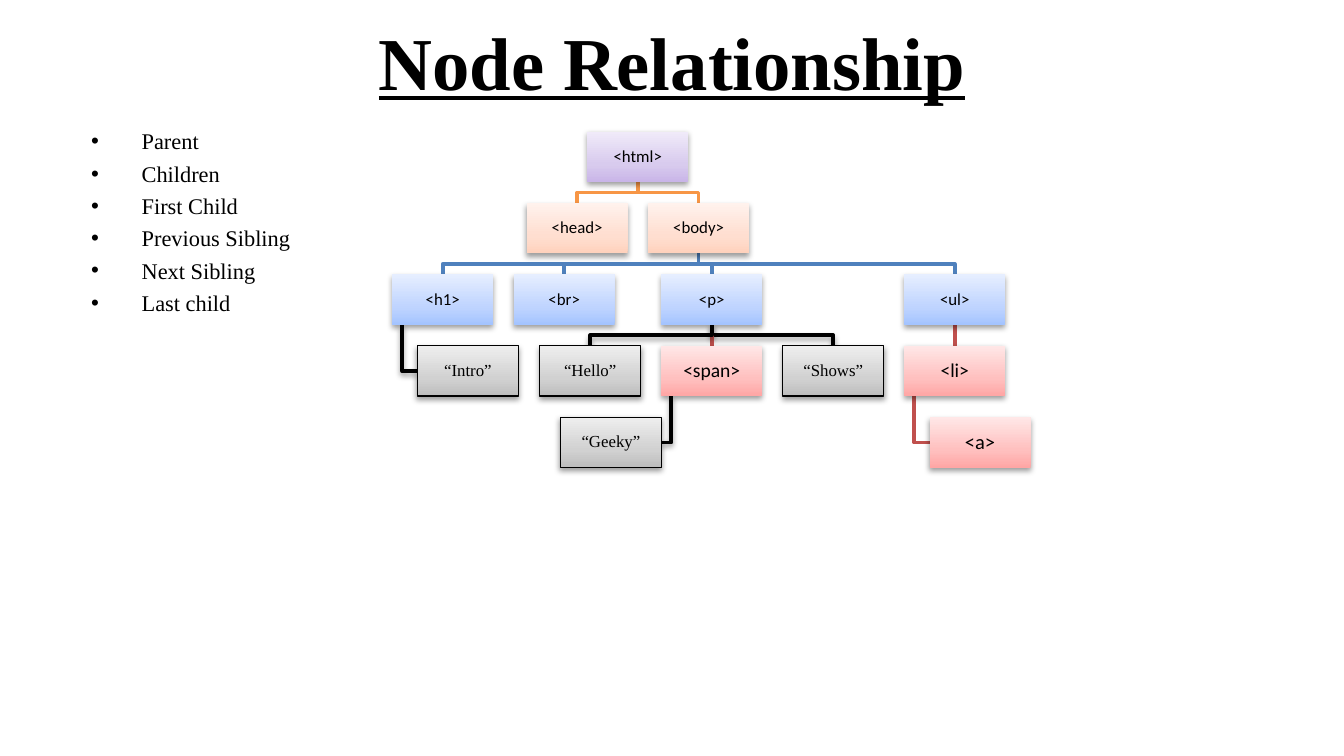
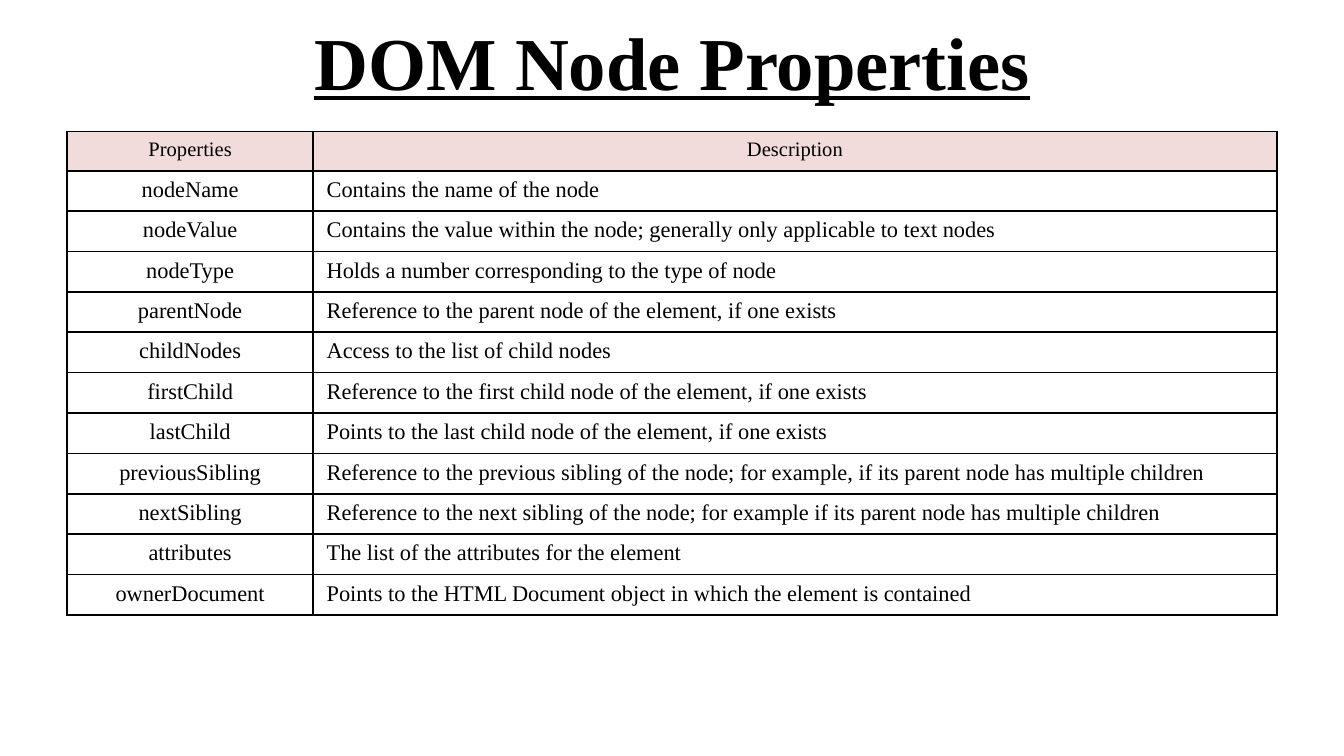
from pptx import Presentation
from pptx.dml.color import RGBColor
from pptx.enum.shapes import MSO_CONNECTOR, MSO_SHAPE
from pptx.enum.text import MSO_ANCHOR, PP_ALIGN
from pptx.oxml import parse_xml
from pptx.oxml.ns import nsdecls, qn
from pptx.util import Pt
from lxml.etree import SubElement

HUES = {
    "ink": "000000", "head": "F2DCDB",
    "orange": "F79646", "blue": "4F81BD", "red": "C0504D",
}
FADES = {
    "root": ("C9B5E8", "D8CBEE", "F0EAF9"),
    "orange": ("FFD2BD", "FFDED0", "FFF2ED"),
    "blue": ("A4C4FF", "BFD4FF", "E6EEFF"),
    "red": ("FFA6A5", "FFC0BF", "FFE7E7"),
    "ink": ("BDBDBD", "D1D1D1", "EEEEEE"),
}
SERIF, SANS = "Times New Roman", "Calibri"
WIDE, TALL, TOP, STEP = 54.1, 27, 70.5, 38.25
INSET = 5.4

TERMS = ["Parent", "Children", "First Child", "Previous Sibling",
         "Next Sibling", "Last child"]

# name: left, level, hue, font size, parent, link style
NODES = {
    "<html>": (314.6, 0, "root", 9, None, None),
    "<head>": (282.1, 1, "orange", 9, "<html>", "fork"),
    "<body>": (347.2, 1, "orange", 9, "<html>", "fork"),
    "<h1>": (210.1, 2, "blue", 9, "<body>", "fork"),
    "“Intro”": (223.6, 3, "ink", 9, "<h1>", "hang"),
    "<br>": (275.2, 2, "blue", 9, "<body>", "fork"),
    "<p>": (354.2, 2, "blue", 9, "<body>", "fork"),
    "“Hello”": (289.1, 3, "ink", 9, "<p>", "fork"),
    "<span>": (354.2, 3, "red", 10.5, "<p>", "drop"),
    "“Geeky”": (300.2, 4, "ink", 9, "<span>", "hang"),
    "“Shows”": (419.3, 3, "ink", 9, "<p>", "fork"),
    "<ul>": (484.4, 2, "blue", 9, "<body>", "fork"),
    "<li>": (484.4, 3, "red", 10.5, "<ul>", "drop"),
    "<a>": (498, 4, "red", 11, "<li>", "hang"),
}

ROWS = [
    ("Properties", "Description"),
    ("nodeName", "Contains the name of the node"),
    ("nodeValue", "Contains the value within the node; generally only applicable to text nodes"),
    ("nodeType", "Holds a number corresponding to the type of node"),
    ("parentNode", "Reference to the parent node of the element, if one exists"),
    ("childNodes", "Access to the list of child nodes"),
    ("firstChild", "Reference to the first child node of the element, if one exists"),
    ("lastChild", "Points to the last child node of the element, if one exists"),
    ("previousSibling", "Reference to the previous sibling of the node; for example, "
                        "if its parent node has multiple children"),
    ("nextSibling", "Reference to the next sibling of the node; for example "
                    "if its parent node has multiple children"),
    ("attributes", "The list of the attributes for the element"),
    ("ownerDocument", "Points to the HTML Document object in which the element is contained"),
]


def tint(name):
    """Return the named colour."""
    return RGBColor.from_string(HUES[name])


def style(para, size, face=SERIF, align=PP_ALIGN.LEFT, strong=False):
    """Format a paragraph and its runs."""
    para.alignment = align
    for run in para.runs:
        font = run.font
        font.name, font.size = face, Pt(size)
        font.bold = font.underline = strong
        font.color.rgb = tint("ink")


def add_text(slide, left, top, width, height, text):
    """Add a wrapped text box and return its frame."""
    frame = slide.shapes.add_textbox(Pt(left), Pt(top), Pt(width), Pt(height)).text_frame
    frame.word_wrap = True
    frame.text = text
    return frame


def add_title(slide, text):
    """Add the underlined slide title."""
    frame = add_text(slide, 36, -1.5, 648, 67.7, text)
    frame.vertical_anchor = MSO_ANCHOR.MIDDLE
    style(frame.paragraphs[0], 40, align=PP_ALIGN.CENTER, strong=True)


def add_list(slide, terms):
    """Add the bulleted list of terms."""
    frame = add_text(slide, 41.8, 64.8, 144, 120, "\n".join(terms))
    for para in frame.paragraphs:
        style(para, 12)
        para.space_before = Pt(2.9)
        props = para._p.get_or_add_pPr()
        props.set("marL", str(Pt(27)))
        props.set("indent", str(Pt(-27)))
        SubElement(props, qn("a:buFont"), typeface="Arial")
        SubElement(props, qn("a:buChar"), char="•")


def cast(shape):
    """Give a shape a soft shadow below it."""
    shape.shadow.inherit = False
    shape.element.spPr.find(qn("a:effectLst")).append(parse_xml(
        f'<a:outerShdw {nsdecls("a")} blurRad="{Pt(3.1)}" dist="{Pt(1.6)}" dir="5400000" '
        f'rotWithShape="0"><a:srgbClr val="{HUES["ink"]}"><a:alpha val="38000"/>'
        '</a:srgbClr></a:outerShdw>'))


def fade(shape, stops):
    """Fill a shape with a gradient rising from its foot."""
    marks = "".join(f'<a:gs pos="{pos}"><a:srgbClr val="{hue}"/></a:gs>'
                    for pos, hue in zip((0, 35000, 100000), stops))
    shape.element.spPr.find(qn("a:prstGeom")).addnext(parse_xml(
        f'<a:gradFill {nsdecls("a")} rotWithShape="1"><a:gsLst>{marks}</a:gsLst>'
        '<a:lin ang="16200000" scaled="0"/></a:gradFill>'))


def add_node(slide, name):
    """Add one box of the tree."""
    left, level, hue, size = NODES[name][:4]
    box = slide.shapes.add_shape(MSO_SHAPE.RECTANGLE, Pt(left), Pt(TOP + level * STEP),
                                 Pt(WIDE), Pt(TALL))
    fade(box, FADES[hue])
    if hue == "ink":
        box.line.color.rgb = tint(hue)
        box.line.width = Pt(0.75)
    else:
        box.line.fill.background()
    cast(box)
    frame = box.text_frame
    frame.margin_left = frame.margin_right = Pt(0.7)
    frame.margin_top = frame.margin_bottom = Pt(0.7)
    frame.vertical_anchor = MSO_ANCHOR.MIDDLE
    frame.word_wrap = True
    frame.text = name
    para = frame.paragraphs[0]
    style(para, size, SERIF if hue == "ink" else SANS, PP_ALIGN.CENTER)
    para.line_spacing = 0.9
    return box


def bend(slide, points):
    """Add an open bent line through the points."""
    start, *rest = [(Pt(x), Pt(y)) for x, y in points]
    form = slide.shapes.build_freeform(*start)
    form.add_line_segments(rest, close=False)
    line = form.convert_to_shape()
    line.fill.background()
    line.shadow.inherit = False
    return line


def add_link(slide, name, boxes):
    """Join a node to its parent, behind all boxes."""
    left, level, hue, _, parent, kind = NODES[name]
    start = NODES[parent][0]
    top = TOP + level * STEP
    foot = top - STEP + TALL
    if kind == "drop":
        line = slide.shapes.add_connector(MSO_CONNECTOR.STRAIGHT, 0, 0, 0, 0)
        line.begin_connect(boxes[parent], 2)
        line.end_connect(boxes[name], 0)
        SubElement(line.element.spPr, qn("a:effectLst"))
    elif kind == "fork":
        x, end, mid = start + WIDE / 2, left + WIDE / 2, (foot + top) / 2
        line = bend(slide, [(x, foot), (x, mid), (end, mid), (end, top)])
    else:
        x, mid = start + INSET, top + TALL / 2
        side = left if left > start else left + WIDE
        line = bend(slide, [(x, foot), (x, mid), (side, mid)])
    line.line.color.rgb = tint(hue)
    line.line.width = Pt(2)
    if hue == "ink":
        cast(line)
    slide.shapes.element.insert(2, line.element)


def add_tree(slide):
    """Add the boxes and the links of the node tree."""
    boxes = {name: add_node(slide, name) for name in NODES}
    for name, node in NODES.items():
        if node[4]:
            add_link(slide, name, boxes)


def edge(cell):
    """Draw a thin line on each side of a cell."""
    props = cell._tc.get_or_add_tcPr()
    for spot, side in enumerate("LRTB"):
        props.insert(spot, parse_xml(
            f'<a:ln{side} {nsdecls("a")} w="{Pt(1)}"><a:solidFill>'
            f'<a:srgbClr val="{HUES["ink"]}"/></a:solidFill></a:ln{side}>'))


def add_grid(slide, rows):
    """Add the table of node properties."""
    high = 21
    table = slide.shapes.add_table(len(rows), 2, Pt(36), Pt(70.5), Pt(648),
                                   Pt(high * len(rows))).table
    table.first_row = table.horz_banding = False
    for col, width in zip(table.columns, (131.8, 516.2)):
        col.width = Pt(width)
    for r, row in enumerate(rows):
        table.rows[r].height = Pt(high)
        for c, text in enumerate(row):
            cell = table.cell(r, c)
            cell.text = text
            mid = r == 0 or c == 0
            style(cell.text_frame.paragraphs[0], 12 if r else 11,
                  align=PP_ALIGN.CENTER if mid else PP_ALIGN.LEFT)
            if r:
                cell.fill.background()
            else:
                cell.fill.solid()
                cell.fill.fore_color.rgb = tint("head")
            edge(cell)


def main():
    """Build and save both slides."""
    deck = Presentation()
    deck.slide_width, deck.slide_height = Pt(720), Pt(405)
    blank = deck.slide_layouts[6]

    slide = deck.slides.add_slide(blank)
    add_title(slide, "Node Relationship")
    add_list(slide, TERMS)
    add_tree(slide)

    slide = deck.slides.add_slide(blank)
    add_title(slide, "DOM Node Properties")
    add_grid(slide, ROWS)

    deck.save("out.pptx")


if __name__ == "__main__":
    main()
